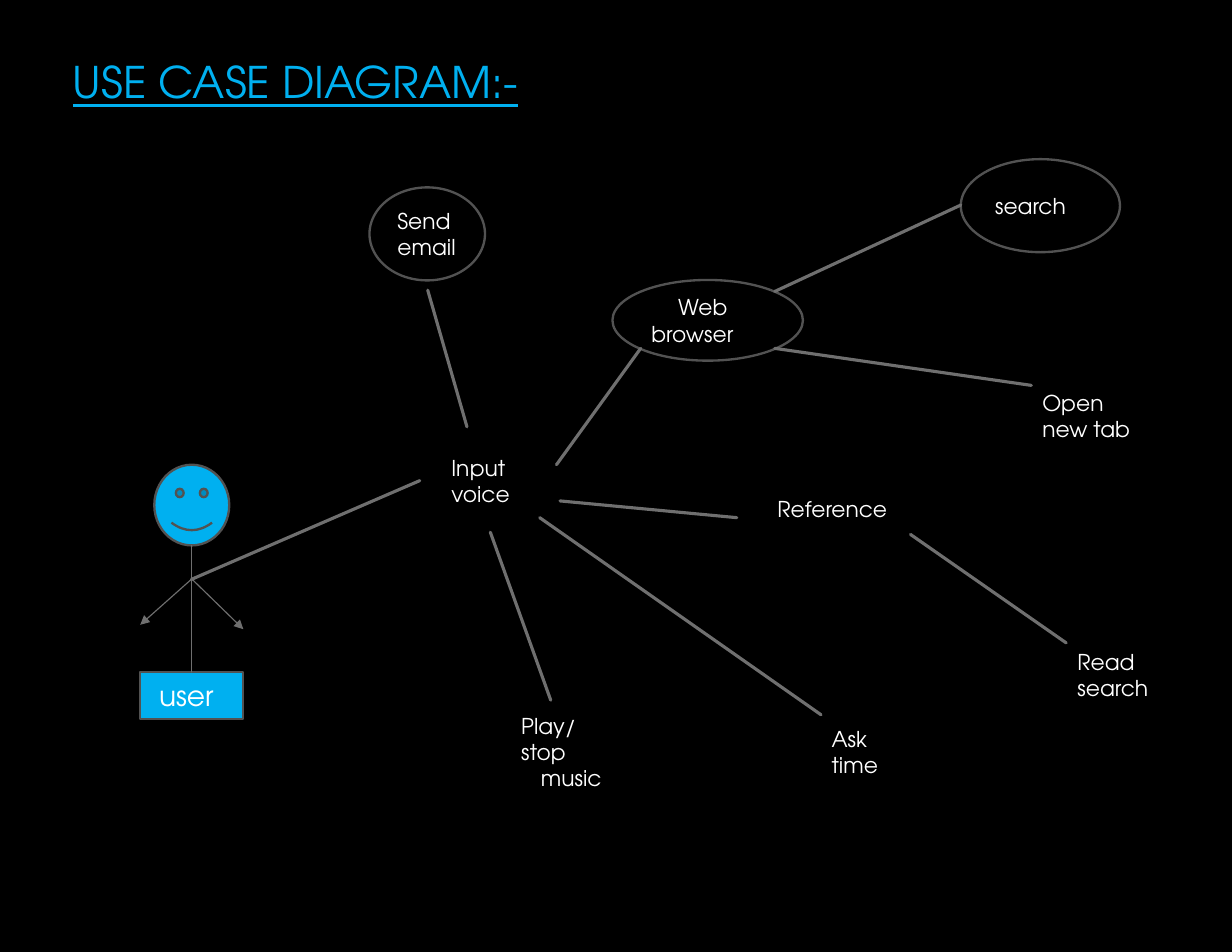
from lxml import etree
from pptx import Presentation
from pptx import util as u
from pptx.dml.color import RGBColor
from pptx.enum import shapes, text
from pptx.oxml import ns

HUE = {"back": "000000", "accent": "00B0F0", "edge": "525252",
       "link": "6F6F6F", "text": "FFFFFF"}
FONT = "TeX Gyre Adventor"
KIND = shapes.MSO_SHAPE

CASES = [
    ((0, 0.64, 2.62, 2.11), [("Send", 0), ("email", 0)], "edge", 0),
    ((5.51, 2.74, 4.32, 1.83), [("Web browser", 0.61)], "edge", 0),
    ((13.41, 0, 3.61, 2.11), [("search", 0)], "edge", 0),
    ((1.14, 6.12, 3.18, 2.34), [("Input voice", 0)], "back", 0),
    ((8.33, 7.29, 4.6, 1.42), [("Reference", 0)], "back", 0.15),
    ((14.48, 4.85, 3.61, 1.93), [("Open new tab", 0)], "back", 0),
    ((2.62, 12.27, 3.89, 2.34), [("Play/stop", 0), ("music", 0.45)], "back", 0),
    ((9.83, 12.27, 2.74, 2.34), [("Ask time", 0)], "back", 0),
    ((15.34, 10.67, 3.18, 2.03), [("Read search", 0)], "back", 0),
]
LINKS = [
    ((1.14, 7.29), (-4.04, 9.53)),
    ((1.32, 2.97), (2.21, 6.07)),
    ((6.15, 4.29), (4.24, 6.93)),
    ((2.74, 8.46), (4.11, 12.27)),
    ((8.33, 8.13), (4.32, 7.75)),
    ((13.41, 1.04), (9.19, 3)),
    ((15.01, 5.13), (9.19, 4.29)),
    ((15.8, 10.97), (12.27, 8.51)),
    ((10.24, 12.6), (3.86, 8.13)),
]


def tint(name):
    """Return the named colour."""
    return RGBColor.from_string(HUE[name])


def add_run(para, words, size, hue):
    """Add one styled run to a paragraph."""
    run = para.add_run()
    run.text = words
    run.font.name = FONT
    run.font.size = u.Pt(size)
    run.font.color.rgb = tint(hue)
    return run


def add_form(slide, kind, box, fill, edge):
    """Add a flat preset shape."""
    form = slide.shapes.add_shape(kind, *map(u.Cm, box))
    form.shadow.inherit = False
    form.fill.solid()
    form.fill.fore_color.rgb = tint(fill)
    form.line.color.rgb = tint(edge)
    form.line.width = u.Pt(1.5)
    return form


def fill_text(form, lines, size):
    """Write indented lines into a shape."""
    frame = form.text_frame
    frame.word_wrap = True
    frame.vertical_anchor = text.MSO_ANCHOR.MIDDLE
    for i, (words, indent) in enumerate(lines):
        para = frame.add_paragraph() if i else frame.paragraphs[0]
        para.alignment = text.PP_ALIGN.JUSTIFY
        if indent:
            para._p.get_or_add_pPr().set("indent", str(u.Cm(indent)))
        add_run(para, words, size, "text")


def add_line(slide, box, start, end, width, arrow=False):
    """Draw a straight line between two points of a box."""
    ends = [u.Cm(base + step) for point in (start, end)
            for base, step in zip(box, point)]
    line = slide.shapes.add_connector(shapes.MSO_CONNECTOR.STRAIGHT, *ends)
    line.line.color.rgb = tint("link")
    line.line.width = u.Pt(width)
    pen = line.line._get_or_add_ln()
    pen.set("cap", "rnd")
    if arrow:
        etree.SubElement(pen, ns.qn("a:tailEnd"), type="triangle")
    etree.SubElement(line._element.spPr, ns.qn("a:effectLst"))


def add_title(slide, box):
    """Place the underlined title."""
    title = slide.shapes.title
    title.left, title.top, title.width, title.height = map(u.Cm, box)
    frame = title.text_frame
    frame.word_wrap = True
    frame.vertical_anchor = text.MSO_ANCHOR.TOP
    para = frame.paragraphs[0]
    para.alignment = text.PP_ALIGN.LEFT
    add_run(para, "USE CASE DIAGRAM:-", 28, "accent").font.underline = True


def add_user(slide, box):
    """Draw the user figure with its label."""
    left, top, width, height = box
    mid, neck, chest, foot = width / 2, 1.83, 2.59, 4.7
    add_form(slide, KIND.SMILEY_FACE, (left + mid - 0.85, top, 1.7, neck),
             "accent", "edge")
    label = add_form(slide, KIND.RECTANGLE,
                     (left, top + foot, width, height - foot),
                     "accent", "edge")
    fill_text(label, [("user", 0.18)], 18)
    add_line(slide, box, (mid, neck), (mid, foot), 0.75)
    for hand in ((0, 3.63), (width, 3.73)):
        add_line(slide, box, (mid, chest), hand, 0.75, arrow=True)


def add_cases(slide, box):
    """Draw the use cases and the links between them."""
    left, top = box[:2]
    for (x, y, width, height), lines, edge, lift in CASES:
        case = add_form(slide, KIND.OVAL, (left + x, top + y, width, height),
                        "back", edge)
        fill_text(case, lines, 14)
        if lift:
            case.text_frame.margin_bottom += u.Cm(lift)
    for start, end in LINKS:
        add_line(slide, box, start, end, 2)


def main():
    """Build and save the slide."""
    deck = Presentation()
    deck.slide_width, deck.slide_height = u.Cm(27.94), u.Cm(21.59)
    slide = deck.slides.add_slide(deck.slide_layouts.get_by_name("Title Only"))
    slide.background.fill.solid()
    slide.background.fill.fore_color.rgb = tint("back")
    add_title(slide, (1.4, 1.12, 13.97, 1.45))
    add_user(slide, (3.18, 10.54, 2.34, 5.77))
    add_cases(slide, (8.38, 3.61, 18.52, 14.61))
    deck.save("out.pptx")


if __name__ == "__main__":
    main()
